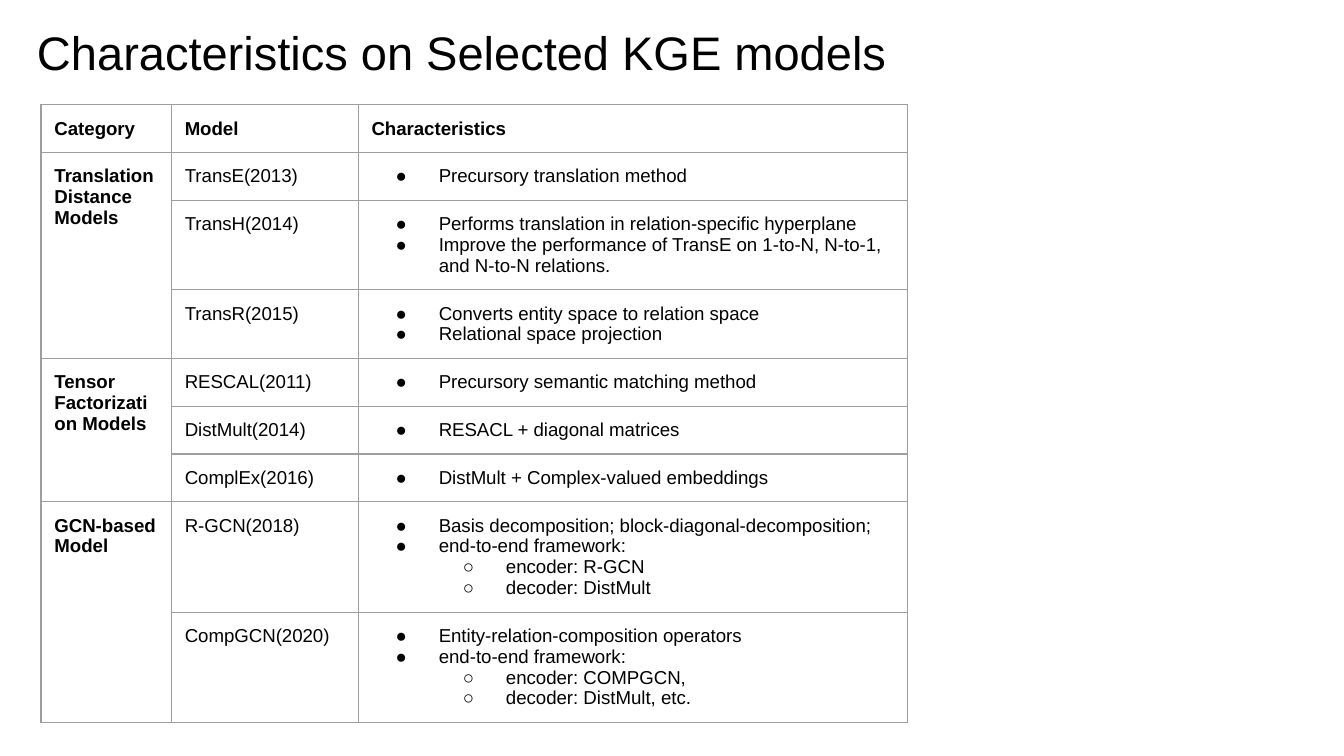
"""Build a slide with a table of knowledge graph embedding models."""
from lxml.etree import SubElement
from pptx import Presentation
from pptx.dml.color import RGBColor
from pptx.enum.text import MSO_ANCHOR, MSO_AUTO_SIZE, PP_ALIGN
from pptx.oxml.ns import qn
from pptx.util import Pt

PX = 4572
BLACK, GREY = "000000", "9E9E9E"
INSET = {f"margin_{side}": 20 * PX for side in ("left", "top", "right", "bottom")}


def style(run, size, bold=False):
    for key, val in {"name": "Arial", "size": Pt(size), "bold": bold}.items():
        setattr(run.font, key, val)
    run.font.color.rgb = RGBColor.from_string(BLACK)


def tint(node, tag, color):
    SubElement(SubElement(node, qn(tag)), qn("a:srgbClr"), val=color)


groups = [
    ("Translation Distance Models", [
        ("TransE(2013)", ["Precursory translation method"], []),
        ("TransH(2014)", [
            "Performs translation in relation-specific hyperplane",
            "Improve the performance of TransE on 1-to-N, N-to-1, and N-to-N relations."], []),
        ("TransR(2015)", ["Converts entity space to relation space",
                          "Relational space projection"], []),
    ]),
    ("Tensor Factorization Models", [
        ("RESCAL(2011)", ["Precursory semantic matching method"], []),
        ("DistMult(2014)", ["RESACL + diagonal matrices"], []),
        ("ComplEx(2016)", ["DistMult + Complex-valued embeddings"], []),
    ]),
    ("GCN-based Model", [
        ("R-GCN(2018)", ["Basis decomposition; block-diagonal-decomposition;",
                         "end-to-end framework:"],
         ["encoder: R-GCN", "decoder: DistMult"]),
        ("CompGCN(2020)", ["Entity-relation-composition operators",
                           "end-to-end framework:"],
         ["encoder: COMPGCN,", "decoder: DistMult, etc."]),
    ]),
]
widths = [194, 278, 818]
lines = [1, 1, 3, 2, 1, 1, 1, 4, 4]

deck = Presentation()
deck.slide_width, deck.slide_height = 2000 * PX, 1125 * PX
slide = deck.slides.add_slide(deck.slide_layouts[5])

title = slide.shapes.title
for key, val in {"left": 35, "top": 14, "width": 1864, "height": 126}.items():
    setattr(title, key, val * PX)
frame = title.text_frame
frame.text = "Characteristics on Selected KGE models"
form = {"auto_size": MSO_AUTO_SIZE.NONE, "word_wrap": True,
        "vertical_anchor": MSO_ANCHOR.MIDDLE, **INSET}
for key, val in form.items():
    setattr(frame, key, val)
frame.paragraphs[0].alignment = PP_ALIGN.LEFT
style(frame.paragraphs[0].runs[0], 25.2)

heights = [40 + 30 * count for count in lines]
table = slide.shapes.add_table(len(lines), len(widths), 61 * PX, 156 * PX,
                               sum(widths) * PX, sum(heights) * PX).table
table.first_row = table.horz_banding = False
for col, width in zip(table.columns, widths):
    col.width = width * PX
for row, height in zip(table.rows, heights):
    row.height = height * PX

for col, head in enumerate(["Category", "Model", "Characteristics"]):
    table.cell(0, col).text = head
row = 1
for group, models in groups:
    table.cell(row, 0).merge(table.cell(row + len(models) - 1, 0))
    table.cell(row, 0).text = group
    for model, points, subs in models:
        table.cell(row, 1).text = model
        cell = table.cell(row, 2)
        cell.text = "\n".join(points + subs)
        for num, para in enumerate(cell.text_frame.paragraphs):
            level = int(num >= len(points))
            para.level = level
            props = para._p.get_or_add_pPr()
            props.set("marL", str(100 * (level + 1) * PX))
            props.set("indent", str(-64 * PX))
            tint(props, "a:buClr", BLACK)
            SubElement(props, qn("a:buFont"), typeface="Arial")
            SubElement(props, qn("a:buChar"), char="●○"[level])
        row += 1

for row in range(len(lines)):
    for col in range(len(widths)):
        cell = table.cell(row, col)
        for key, val in INSET.items():
            setattr(cell, key, val)
        props = cell._tc.get_or_add_tcPr()
        for side in "LRTB":
            edge = SubElement(props, qn(f"a:ln{side}"), w=str(Pt(0.75)))
            tint(edge, "a:solidFill", GREY)
        cell.fill.background()
        for para in cell.text_frame.paragraphs:
            for run in para.runs:
                style(run, 10, row == 0 or col == 0)

deck.save("out.pptx")
